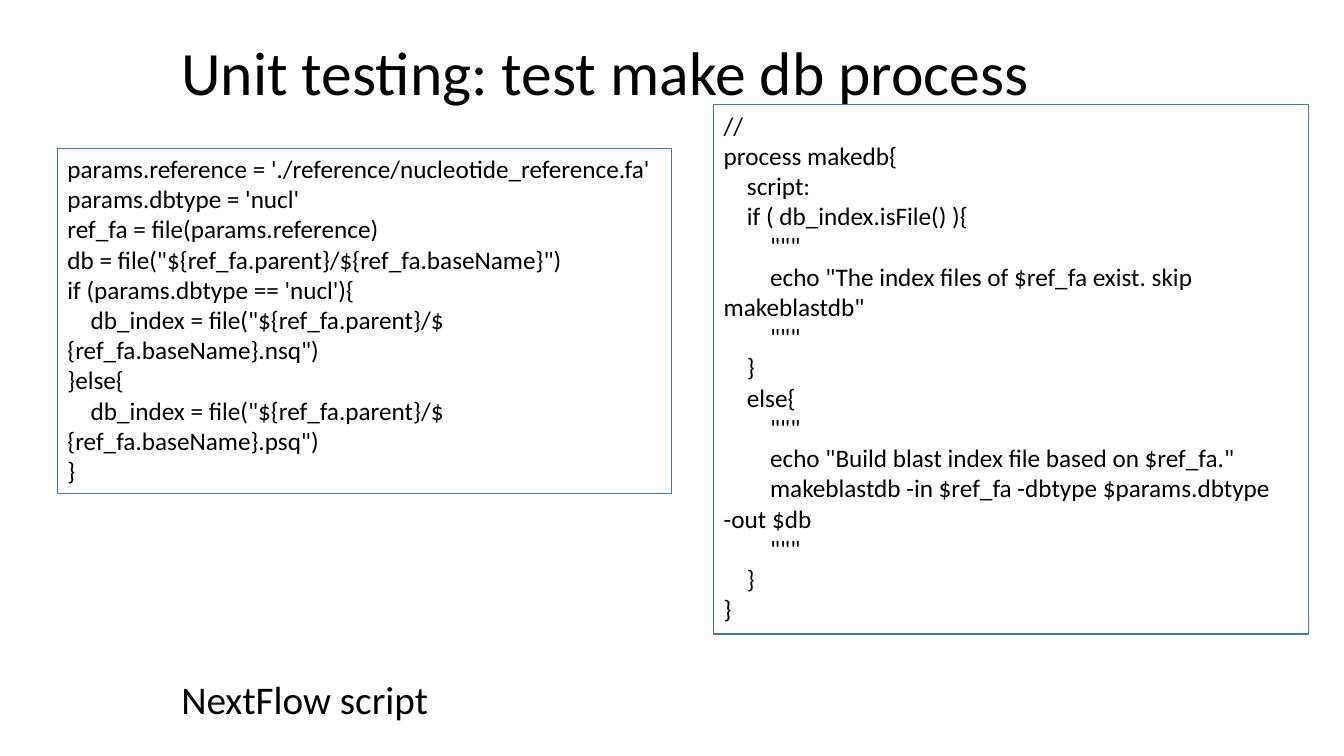
from pptx import Presentation
from pptx.dml.color import RGBColor
from pptx.enum.shapes import MSO_SHAPE
from pptx.enum.text import MSO_ANCHOR, MSO_AUTO_SIZE, PP_ALIGN
from pptx.util import Inches, Pt

RECTANGLE = MSO_SHAPE.RECTANGLE
MIDDLE, TOP = MSO_ANCHOR.MIDDLE, MSO_ANCHOR.TOP
GROW = MSO_AUTO_SIZE.SHAPE_TO_FIT_TEXT
LEFT = PP_ALIGN.LEFT
CODE_INDENT = 0.23  # inches per nesting level


def color(hex_string):
    return RGBColor.from_string(hex_string)


def add_text(paragraph, text, size):
    paragraph.alignment = LEFT
    run = paragraph.add_run()
    run.text = text
    run.font.name = "Calibri"
    run.font.size = Pt(size)
    run.font.color.rgb = color("000000")


prs = Presentation()
prs.slide_width, prs.slide_height = Inches(13.33), Inches(7.5)
slide = prs.slides.add_slide(prs.slide_layouts[6])

# Title and caption
headings = [
    ("Unit testing: test make db process", 44, (1.7, 0.02, 11.5, 1.45), MIDDLE, 0),
    ("NextFlow script", 28, (1.7, 6.7, 10.72, 0.8), TOP, 10),
]
for text, size, place, anchor, space_before in headings:
    frame = slide.shapes.add_textbox(*map(Inches, place)).text_frame
    frame.word_wrap = True
    frame.vertical_anchor = anchor
    paragraph = frame.paragraphs[0]
    paragraph.line_spacing = 0.9
    paragraph.space_before = Pt(space_before)
    add_text(paragraph, text, size)

# Code listings: (nesting level, code)
parameter_code = [
    (0, "params.reference = './reference/nucleotide_reference.fa'"),
    (0, "params.dbtype = 'nucl'"),
    (0, "ref_fa = file(params.reference)"),
    (0, 'db = file("${ref_fa.parent}/${ref_fa.baseName}")'),
    (0, "if (params.dbtype == 'nucl'){"),
    (1, 'db_index = file("${ref_fa.parent}/${ref_fa.baseName}.nsq")'),
    (0, "}else{"),
    (1, 'db_index = file("${ref_fa.parent}/${ref_fa.baseName}.psq")'),
    (0, "}"),
]
process_code = [
    (0, "//"),
    (0, "process makedb{"),
    (1, "script:"),
    (1, "if ( db_index.isFile() ){"),
    (2, '"""'),
    (2, 'echo "The index files of $ref_fa exist. skip makeblastdb"'),
    (2, '"""'),
    (1, "}"),
    (1, "else{"),
    (2, '"""'),
    (2, 'echo "Build blast index file based on $ref_fa."'),
    (2, "makeblastdb -in $ref_fa -dbtype $params.dbtype -out $db"),
    (2, '"""'),
    (1, "}"),
    (0, "}"),
]

# Code boxes
for place, code_lines in [
    ((0.57, 1.47, 6.09, 3.43), parameter_code),
    ((7.08, 1.04, 5.9, 5.25), process_code),
]:
    code_box = slide.shapes.add_shape(RECTANGLE, *map(Inches, place))
    code_box.shadow.inherit = False
    code_box.fill.background()
    code_box.line.color.rgb = color("4472C4")
    code_box.line.width = Pt(0.75)
    frame = code_box.text_frame
    frame.word_wrap = True
    frame.auto_size = GROW
    frame.vertical_anchor = TOP
    for number, (level, code) in enumerate(code_lines):
        paragraph = frame.add_paragraph() if number else frame.paragraphs[0]
        # First-line indent only, so wrapped code returns to the left edge
        properties = paragraph._p.get_or_add_pPr()
        properties.set("marL", "0")
        properties.set("indent", str(Inches(level * CODE_INDENT)))
        add_text(paragraph, code, 18)

prs.save("out.pptx")
